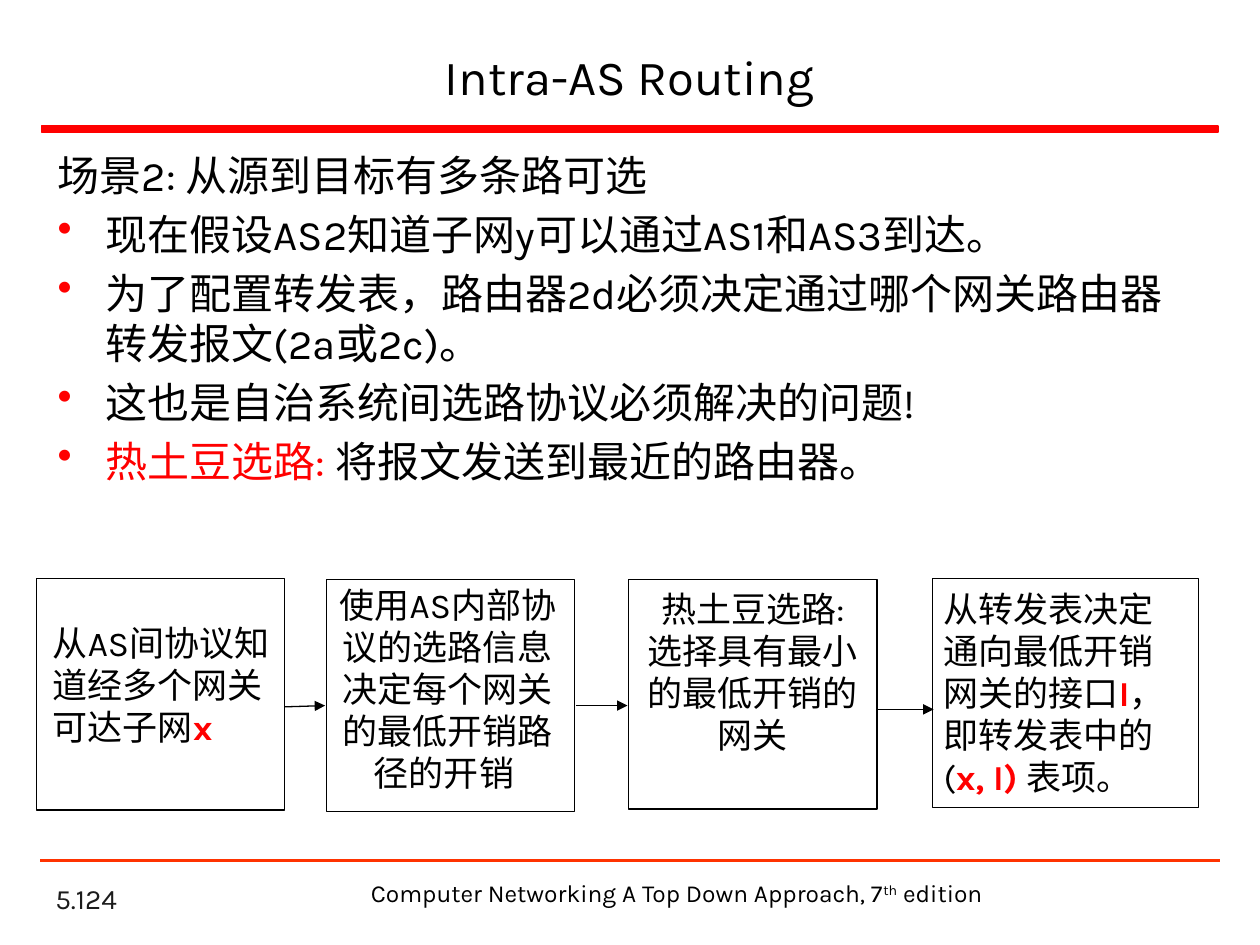
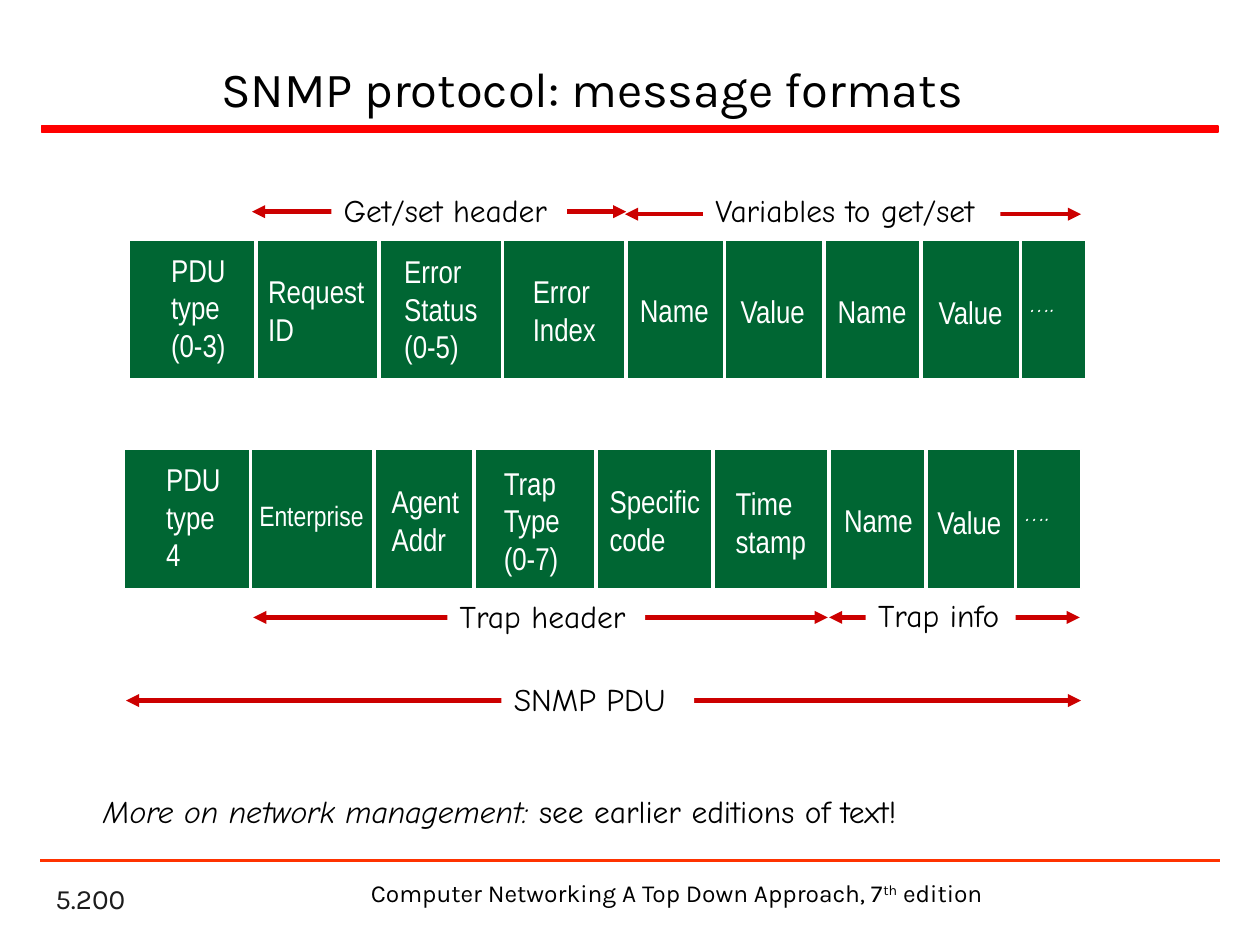
from lxml import etree
from pptx import Presentation
from pptx.dml.color import RGBColor
from pptx.enum.shapes import MSO_CONNECTOR, MSO_SHAPE
from pptx.enum.text import MSO_ANCHOR, MSO_AUTO_SIZE, PP_ALIGN
from pptx.oxml.ns import qn
from pptx.util import Emu, Pt

STRAIGHT = MSO_CONNECTOR.STRAIGHT
RECTANGLE = MSO_SHAPE.RECTANGLE
TOP, MIDDLE, BOTTOM = MSO_ANCHOR.TOP, MSO_ANCHOR.MIDDLE, MSO_ANCHOR.BOTTOM
GROW, FIXED = MSO_AUTO_SIZE.SHAPE_TO_FIT_TEXT, MSO_AUTO_SIZE.NONE
LEFT, CENTER = PP_ALIGN.LEFT, PP_ALIGN.CENTER

BLACK = RGBColor(0, 0, 0)
WHITE = RGBColor(255, 255, 255)
RED = RGBColor(255, 0, 0)
INK = RGBColor(0x1C, 0x1C, 0x1C)
FOOTER_RED = RGBColor(0xFF, 0x33, 0)
ARROW_RED = RGBColor(0xCC, 0, 0)
GREEN = RGBColor(0, 0x66, 0x33)

BODY_FONT = "Karla"
FIELD_FONT = "Arial Narrow"
NOTE_FONT = "Comic Neue"
EMU_PER_PX = 9144
STRONG = {"color": RED, "bold": True}


def px(length):
    return Emu(length * EMU_PER_PX)


class Pages:
    def __init__(self):
        self.deck = Presentation()
        self.deck.slide_width, self.deck.slide_height = px(1000), px(750)
        self.page = None

    def add_page(self, title, title_area, number):
        self.page = self.deck.slides.add_slide(self.deck.slide_layouts[6])
        self.text((34, 698, 208, 33), [number], 16, color=INK, anchor=BOTTOM)
        self.rectangle((33, 100, 934, 5), RED, RED, 1)
        self.line((32, 683), (968, 683), FOOTER_RED, 1.5)
        footer = ["Computer Networking A Top Down Approach, 7",
                  ("th", {"superscript": True}), " edition"]
        self.text((283, 692, 508, 34), [footer], 14, align=CENTER)
        self.text(title_area, [title], 28, align=CENTER, anchor=MIDDLE)

    def rectangle(self, area, fill=None, line=None, weight=0.75):
        shape = self.page.shapes.add_shape(RECTANGLE, *map(px, area))
        shape.shadow.inherit = False
        for paint, color in ((shape.fill, fill), (shape.line.fill, line)):
            if color is None:
                paint.background()
            else:
                paint.solid()
                paint.fore_color.rgb = color
        if line is not None:
            shape.line.width = Pt(weight)
        return shape

    def line(self, start, end, color, weight, head=False, tail=False):
        connector = self.page.shapes.add_connector(STRAIGHT, *map(px, start + end))
        connector.line.color.rgb = color
        connector.line.width = Pt(weight)
        properties = connector._element.spPr
        outline = properties.find(qn("a:ln"))
        for tag, wanted in (("a:headEnd", head), ("a:tailEnd", tail)):
            if wanted:
                etree.SubElement(outline, qn(tag), type="triangle")
        etree.SubElement(properties, qn("a:effectLst"))

    def text(self, area, paragraphs, size, **style):
        box = self.page.shapes.add_textbox(*map(px, area))
        self.fill_text(box, paragraphs, size, **style)
        return box

    def label(self, area, text):
        shape = self.rectangle(area, WHITE)
        self.fill_text(shape, [text], 18, font=NOTE_FONT, wrap=False, grow=True)

    def fill_text(self, box, paragraphs, size, font=BODY_FONT, color=BLACK,
                  align=LEFT, anchor=TOP, wrap=True, grow=False):
        frame = box.text_frame
        frame.word_wrap = wrap
        frame.auto_size = GROW if grow else FIXED
        frame.vertical_anchor = anchor
        for index, spans in enumerate(paragraphs):
            para = frame.add_paragraph() if index else frame.paragraphs[0]
            para.alignment = align
            for item in [spans] if isinstance(spans, str) else spans:
                words, look = (item, {}) if isinstance(item, str) else item
                span = para.add_run()
                span.text = words
                span.font.name = font
                span.font.size = Pt(size)
                span.font.color.rgb = look.get("color", color)
                span.font.bold = look.get("bold", False)
                span.font.italic = look.get("italic", False)
                if look.get("superscript"):
                    span._r.get_or_add_rPr().set("baseline", "30000")

    def bullet(self, para):
        properties = para._p.get_or_add_pPr()
        properties.set("marL", str(px(38)))
        properties.set("indent", str(px(-38)))
        color = etree.SubElement(properties, qn("a:buClr"))
        etree.SubElement(color, qn("a:srgbClr"), val=str(RED))
        etree.SubElement(properties, qn("a:buChar"), char="•")
        para.space_before = Pt(4.8)

    def record(self, left, top, dividers, fields, dots):
        self.rectangle((left, top, 759, 110), GREEN, WHITE)
        for x in dividers:
            self.line((x, top), (x, top + 112), WHITE, 2)
        for x, drop, width, words, size in fields:
            rows = words.split("\n")
            area = (x, top + drop, width, 10 + 30 * len(rows))
            self.text(area, rows, size, font=FIELD_FONT, color=WHITE,
                      wrap=False, grow=True)
        box = self.text((dots, top + 40, 54, 29), [[("….", {"italic": True})]], 16,
                        font=NOTE_FONT, color=WHITE, wrap=False, grow=True)
        box.text_frame.paragraphs[0].line_spacing = Pt(12)

    def span_arrow(self, left, right, y, label_area, words):
        self.line((left, y), (right, y), ARROW_RED, 2.5, head=True, tail=True)
        self.label(label_area, words)


def add_routing(pages):
    pages.add_page("Intra-AS Routing", (37, 25, 925, 70), "5.124")
    scenario = [
        "场景2: 从源到目标有多条路可选",
        "现在假设AS2知道子网y可以通过AS1和AS3到达。",
        "为了配置转发表，路由器2d必须决定通过哪个网关路由器转发报文(2a或2c)。",
        "这也是自治系统间选路协议必须解决的问题!",
        [("热土豆选路: ", {"color": RED}), "将报文发送到最近的路由器。"],
    ]
    body = pages.text((36, 114, 928, 560), scenario, 24)
    for para in body.text_frame.paragraphs[1:]:
        pages.bullet(para)

    steps = [
        ((29, 459, 197, 184), (32, 488, 202, 110), LEFT,
         ["从AS间协议知道经多个网关", ["可达子网", ("x", STRONG)]]),
        ((259, 460, 197, 184), (256, 458, 199, 210), CENTER,
         ["使用AS内部协议的选路信息 决定每个网关的最低开销路径的开销 "]),
        ((499, 460, 197, 182), (499, 461, 197, 143), CENTER,
         ["热土豆选路:", "选择具有最小的最低开销的网关"]),
        ((740, 459, 211, 182), (739, 461, 209, 177), LEFT,
         [["从转发表决定通向最低开销网关的接口", ("I", STRONG),
           "，即转发表中的(", ("x, I) ", STRONG), "表项。"]]),
    ]
    for frame_area, text_area, align, paragraphs in steps:
        pages.rectangle(frame_area, line=BLACK)
        pages.text(text_area, paragraphs, 20, align=align, grow=True)
    for start, end in (((226, 561), (258, 560)), ((457, 560), (498, 560)),
                       ((697, 563), (741, 563))):
        pages.line(start, end, BLACK, 0.75, tail=True)


def add_snmp(pages):
    pages.add_page("SNMP protocol: message formats", (45, 24, 850, 91), "5.200")
    pages.record(103, 191, (203, 301, 399, 497, 575, 654, 731, 810), [
        (126, 3, 64, "PDU\ntype\n(0-3)", 18),
        (203, 20, 97, "Request\nID", 18),
        (311, 4, 79, "Error\nStatus\n(0-5)", 18),
        (413, 20, 71, "Error\nIndex", 18),
        (498, 35, 76, "Name", 18),
        (578, 36, 72, "Value", 18),
        (655, 36, 75, "Name", 18),
        (735, 37, 72, "Value", 18),
    ], 808)
    pages.record(99, 357, (199, 297, 376, 473, 566, 658, 735, 806), [
        (122, 3, 64, "PDU\ntype\n4", 18),
        (196, 34, 104, "Enterprise", 16),
        (301, 21, 74, "Agent\nAddr", 18),
        (390, 6, 65, "Trap\nType\n(0-7)", 18),
        (474, 21, 93, "Specific\ncode", 18),
        (574, 22, 77, "Time\nstamp", 18),
        (660, 36, 75, "Name", 18),
        (734, 37, 72, "Value", 18),
    ], 804)
    pages.span_arrow(201, 657, 490, (355, 469, 157, 40), "Trap header")
    pages.span_arrow(658, 857, 490, (687, 468, 119, 40), "Trap info")
    pages.span_arrow(200, 497, 168, (263, 147, 187, 40), "Get/set header")
    pages.span_arrow(496, 858, 170, (558, 147, 236, 40), "Variables to get/set")
    pages.span_arrow(100, 858, 556, (398, 535, 153, 40), "SNMP PDU")
    closing = [("More on network management: ", {"italic": True}),
               "see earlier editions of text!"]
    pages.text((72, 624, 671, 40), [closing], 18, font=NOTE_FONT, wrap=False, grow=True)


def main():
    pages = Pages()
    add_routing(pages)
    add_snmp(pages)
    pages.deck.save("out.pptx")


if __name__ == "__main__":
    main()
